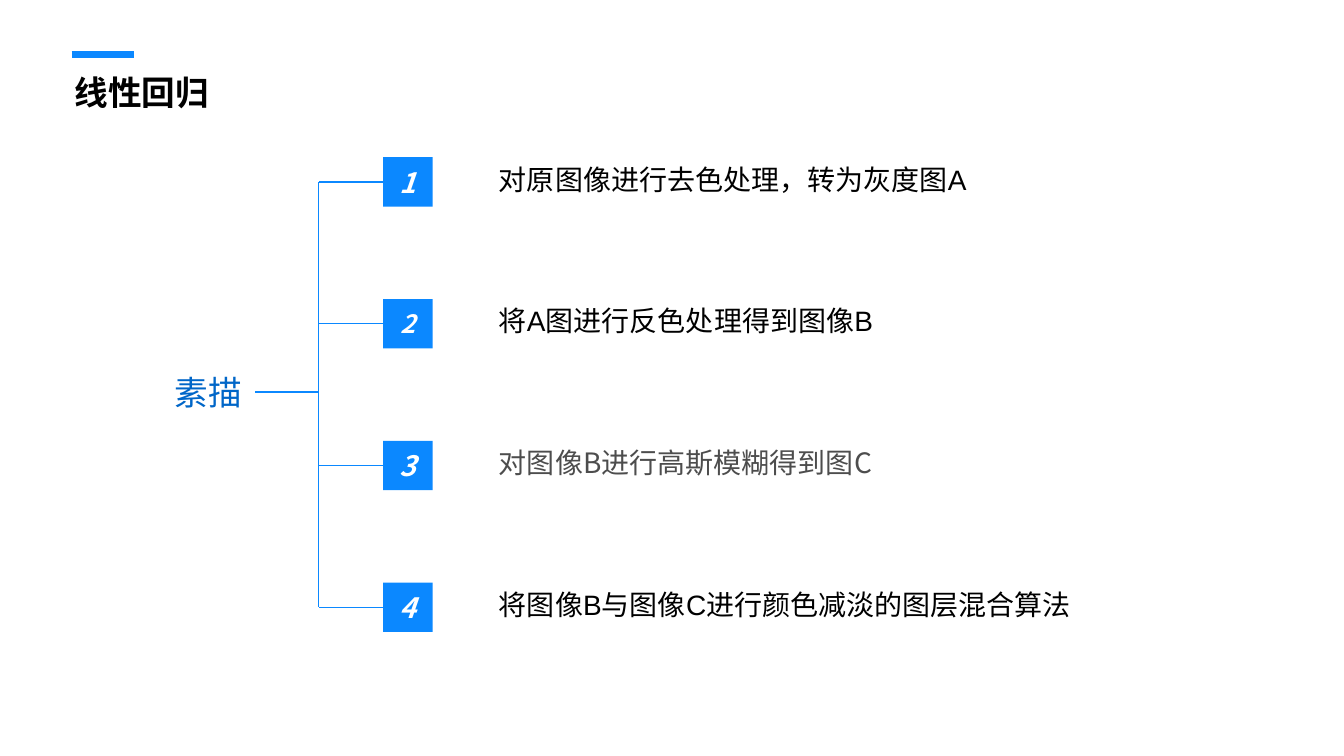
"""Build the slide that lists the four steps of the sketch effect."""
from dataclasses import dataclass

import lxml.etree
import pptx
import pptx.dml.color
import pptx.enum.shapes
import pptx.enum.text
import pptx.oxml.ns
import pptx.shapes.autoshape
import pptx.shapes.connector
import pptx.slide
import pptx.text.text
import pptx.util

Inches = pptx.util.Inches
Align = pptx.enum.text.PP_ALIGN
Anchor = pptx.enum.text.MSO_ANCHOR


@dataclass(frozen=True)
class Theme:
    """Colours, fonts and type sizes of the slide."""
    accent: str = "0B88FF"
    topic: str = "0066C8"
    ink: str = "000000"
    muted: str = "4D4D4D"
    paper: str = "FFFFFF"
    latin: str = "Arial"
    cjk: str = "Noto Sans CJK SC"
    heading_size: int = 24
    body_size: int = 20
    small_size: int = 18
    thin: float = 1
    thick: float = 5


THEME = Theme()


@dataclass(frozen=True)
class Step:
    """One numbered step and its deviations from the common format."""
    text: str
    width: float = 5.91
    color: str = THEME.ink
    font: str = THEME.latin
    number_size: int = THEME.body_size


STEPS = (
    Step("对原图像进行去色处理，转为灰度图A", width=6.92),
    Step("将A图进行反色处理得到图像B", number_size=THEME.small_size),
    Step("对图像B进行高斯模糊得到图C", color=THEME.muted, font=THEME.cjk),
    Step("将图像B与图像C进行颜色减淡的图层混合算法"),
)
FIRST_TOP, LAST_TOP = 1.56, 5.78
PITCH = (LAST_TOP - FIRST_TOP) / (len(STEPS) - 1)
BADGE_LEFT, BADGE_SIDE = 3.8, 0.49
TRUNK_X, STEM_X, STEM_Y = 3.16, 2.53, 3.89
STEP_LEFT, STEP_HEIGHT = 4.85, 0.44


def rgb(color: str) -> pptx.dml.color.RGBColor:
    """Turn a hex string into a colour."""
    return pptx.dml.color.RGBColor.from_string(color)


def write(frame: pptx.text.text.TextFrame, text: str, *, size: int,
          color: str = THEME.ink, font: str = THEME.latin, bold: bool = False,
          italic: bool = False, align: Align = Align.LEFT,
          anchor: Anchor = Anchor.TOP, wrap: bool = True) -> None:
    """Put formatted text into a frame."""
    frame.word_wrap = wrap
    frame.vertical_anchor = anchor
    paragraph = frame.paragraphs[0]
    paragraph.alignment = align
    run = paragraph.add_run()
    run.text = text
    run.font.size = pptx.util.Pt(size)
    run.font.bold = bold
    run.font.italic = italic
    run.font.color.rgb = rgb(color)
    run.font.name = font
    east_asian = lxml.etree.SubElement(run.font._element, pptx.oxml.ns.qn("a:ea"))
    east_asian.set("typeface", THEME.cjk)


def add_text(slide: pptx.slide.Slide, left: float, top: float, width: float,
             height: float, text: str, **style) -> pptx.text.text.TextFrame:
    """Add a text box and return its frame."""
    box = slide.shapes.add_textbox(*map(Inches, (left, top, width, height)))
    write(box.text_frame, text, **style)
    return box.text_frame


def add_line(slide: pptx.slide.Slide, x1: float, y1: float, x2: float, y2: float,
             weight: float = THEME.thin) -> pptx.shapes.connector.Connector:
    """Add a straight accent line without a shadow."""
    line = slide.shapes.add_connector(
        pptx.enum.shapes.MSO_CONNECTOR.STRAIGHT, *map(Inches, (x1, y1, x2, y2)))
    line.line.color.rgb = rgb(THEME.accent)
    line.line.width = pptx.util.Pt(weight)
    lxml.etree.SubElement(line._element.spPr, pptx.oxml.ns.qn("a:effectLst"))
    return line


def add_badge(slide: pptx.slide.Slide, top: float, number: int,
              size: int) -> pptx.shapes.autoshape.Shape:
    """Add the numbered square of a step."""
    badge = slide.shapes.add_shape(
        pptx.enum.shapes.MSO_SHAPE.RECTANGLE,
        *map(Inches, (BADGE_LEFT, top, BADGE_SIDE, BADGE_SIDE)))
    badge.shadow.inherit = False
    badge.fill.solid()
    badge.fill.fore_color.rgb = rgb(THEME.accent)
    badge.line.fill.background()
    write(badge.text_frame, str(number), size=size, color=THEME.paper,
          font=THEME.cjk, bold=True, italic=True, align=Align.CENTER,
          anchor=Anchor.MIDDLE)
    return badge


def add_step(slide: pptx.slide.Slide, index: int, step: Step) -> None:
    """Add a step with its badge, branch and wording."""
    top = FIRST_TOP + index * PITCH
    middle = top + BADGE_SIDE / 2
    badge = add_badge(slide, top, index + 1, step.number_size)
    branch = add_line(slide, BADGE_LEFT, middle, TRUNK_X, middle)
    branch.begin_connect(badge, 1)
    add_text(slide, STEP_LEFT, top, step.width, STEP_HEIGHT, step.text,
             size=THEME.body_size, color=step.color, font=step.font)


def main() -> None:
    """Build and save the slide."""
    deck = pptx.Presentation()
    deck.slide_width, deck.slide_height = Inches(13.33), Inches(7.5)
    slide = deck.slides.add_slide(deck.slide_layouts[6])

    add_line(slide, 0.71, 0.54, 1.33, 0.54, THEME.thick)
    add_text(slide, 0.64, 0.66, 1.55, 0.5, "线性回归", size=THEME.heading_size,
             font=THEME.cjk, bold=True, wrap=False)

    topic = add_text(slide, 1.45, 3.64, 1.52, 0.5, "素描",
                     size=THEME.heading_size, color=THEME.topic)
    topic.margin_left = Inches(0.28)
    add_line(slide, TRUNK_X, STEM_Y, STEM_X, STEM_Y)
    add_line(slide, TRUNK_X, FIRST_TOP + BADGE_SIDE / 2,
             TRUNK_X, LAST_TOP + BADGE_SIDE / 2)

    for index, step in enumerate(STEPS):
        add_step(slide, index, step)
    deck.save("out.pptx")


if __name__ == "__main__":
    main()
